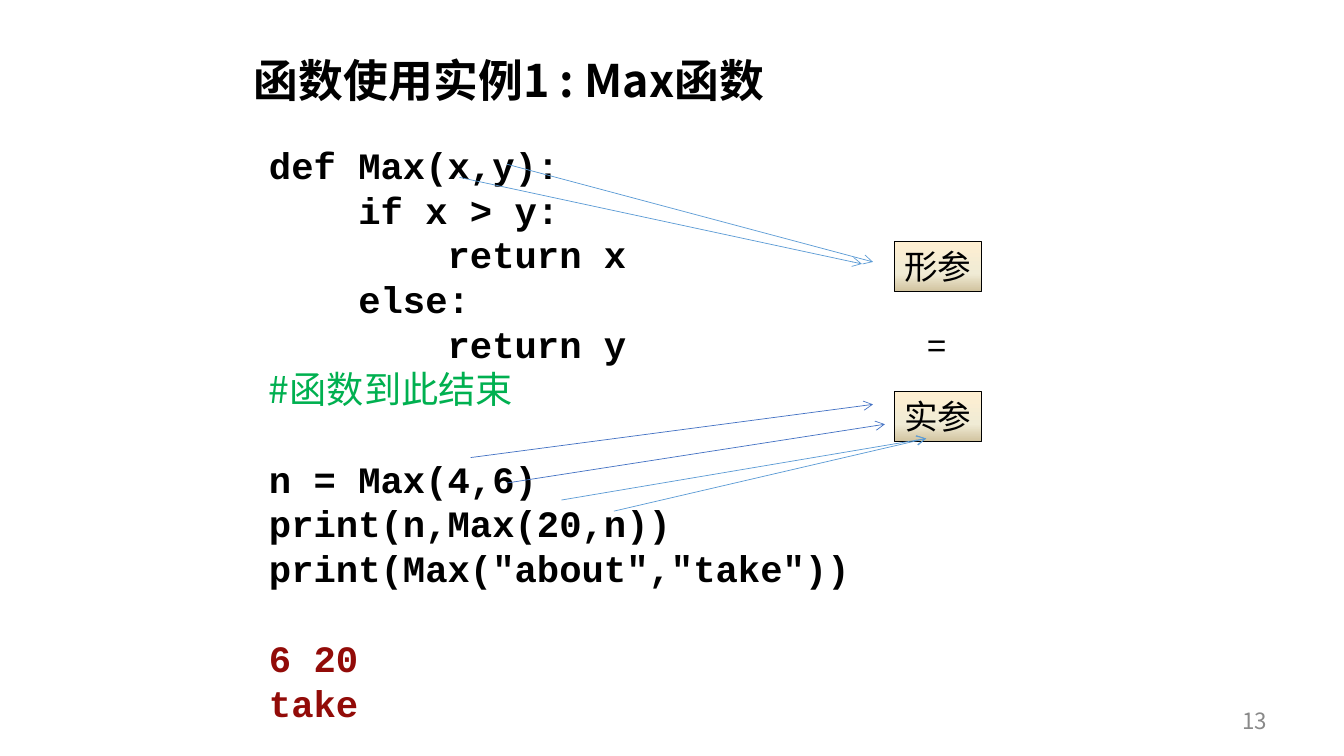
from copy import deepcopy

from pptx import Presentation
from pptx.dml.color import RGBColor
from pptx.enum.shapes import MSO_CONNECTOR, MSO_SHAPE
from pptx.enum.text import MSO_ANCHOR, PP_ALIGN
from pptx.oxml.ns import qn
from pptx.util import Cm, Pt

STRAIGHT, RECT = MSO_CONNECTOR.STRAIGHT, MSO_SHAPE.RECTANGLE
TOP, MIDDLE = MSO_ANCHOR.TOP, MSO_ANCHOR.MIDDLE
LEFT, CENTER, RIGHT = PP_ALIGN.LEFT, PP_ALIGN.CENTER, PP_ALIGN.RIGHT

SANS, MONO, LABEL = "Noto Sans CJK SC", "Courier New", "Arial"
BLACK, GREEN, RED, GREY = "000000", "00B050", "920B08", "898989"
LIGHT_BLUE, BLUE = "5B9BD5", "4472C4"
TAN = [(0, "FFEFD1"), (0.65, "F0EBD5"), (1, "D1C39F")]
CODE_SIZE, CODE_PITCH = 26.6, 32

# Each block: lines, font, colour, bold, space before
BLOCKS = [
    (["def Max(x,y):", "    if x > y:", "        return x", "    else:",
      "        return y"], MONO, BLACK, True, 0),
    (["#函数到此结束"], SANS, GREEN, False, 0),
    (["n = Max(4,6)", "print(n,Max(20,n))", 'print(Max("about","take"))'],
     MONO, BLACK, True, CODE_PITCH),
    (["6 20", "take"], MONO, RED, True, CODE_PITCH),
]
ARROWS = [
    (12.78, 4.14, 22, 6.6, LIGHT_BLUE),
    (11.58, 4.47, 21.72, 6.65, LIGHT_BLUE),
    (11.86, 11.53, 22, 10.19, BLUE),
    (12.78, 12.17, 22.3, 10.69, BLUE),
    (14.15, 12.6, 23.34, 11.05, LIGHT_BLUE),
    (15.47, 12.88, 23.34, 11.05, LIGHT_BLUE),
]


def rgb(value):
    return RGBColor.from_string(value)


class SlideBuilder:
    """Holds the current slide and adds styled elements to it."""

    def __init__(self, prs):
        self.slide = prs.slides.add_slide(prs.slide_layouts[5])

    def run(self, p, text, size, font, color=BLACK, bold=False):
        r = p.add_run()
        r.text = text
        r.font.size, r.font.name, r.font.bold = Pt(size), font, bold
        r.font.color.rgb = rgb(color)
        ea = r._r.get_or_add_rPr().makeelement(qn("a:ea"), {"typeface": SANS})
        r.font._element.append(ea)

    def frame(self, sp, anchor, wrap=True, margins=(0.25, 0.13)):
        tf = sp.text_frame
        tf.word_wrap, tf.vertical_anchor = wrap, anchor
        tf.margin_left = tf.margin_right = Cm(margins[0])
        tf.margin_top = tf.margin_bottom = Cm(margins[1])
        return tf

    def title(self, text, x, y, w, h):
        sp = self.slide.shapes.title
        sp.left, sp.top, sp.width, sp.height = Cm(x), Cm(y), Cm(w), Cm(h)
        p = self.frame(sp, MIDDLE, margins=(0.33, 0.18)).paragraphs[0]
        p.alignment, p.line_spacing = LEFT, 0.9
        self.run(p, text, 32, SANS, bold=True)

    def textbox(self, x, y, w, h, anchor=TOP, wrap=True):
        sp = self.slide.shapes.add_textbox(Cm(x), Cm(y), Cm(w), Cm(h))
        return self.frame(sp, anchor, wrap)

    def text(self, text, x, y, w, h, size, font, color=BLACK, align=CENTER):
        p = self.textbox(x, y, w, h, MIDDLE, False).paragraphs[0]
        p.alignment = align
        self.run(p, text, size, font, color)

    def code(self, blocks, x, y, w, h):
        tf = self.textbox(x, y, w, h)
        p = tf.paragraphs[0]
        for lines, font, color, bold, gap in blocks:
            for i, line in enumerate(lines):
                if p is None:
                    p = tf.add_paragraph()
                p.line_spacing = Pt(CODE_PITCH)
                if gap and i == 0:
                    p.space_before = Pt(gap)
                self.run(p, line, CODE_SIZE, font, color, bold)
                p = None

    def label(self, text, x, y, w, h):
        sp = self.slide.shapes.add_shape(RECT, Cm(x), Cm(y), Cm(w), Cm(h))
        sp.shadow.inherit = False
        sp.fill.gradient()
        sp.fill.gradient_angle = 270
        stops = sp._element.spPr.find(".//" + qn("a:gsLst"))
        stops.insert(1, deepcopy(stops[0]))
        for stop, (position, color) in zip(sp.fill.gradient_stops, TAN):
            stop.position = position
            stop.color.rgb = rgb(color)
        sp.line.color.rgb, sp.line.width = rgb(BLACK), Pt(0.25)
        p = self.frame(sp, MIDDLE, False).paragraphs[0]
        p.alignment = CENTER
        self.run(p, text, 24, LABEL)

    def arrow(self, x1, y1, x2, y2, color):
        cx = self.slide.shapes.add_connector(
            STRAIGHT, Cm(x1), Cm(y1), Cm(x2), Cm(y2))
        cx.line.color.rgb, cx.line.width = rgb(color), Pt(0.5)
        ln = cx.line._get_or_add_ln()
        ln.append(ln.makeelement(qn("a:tailEnd"), {"type": "arrow"}))
        spPr = cx._element.spPr
        spPr.append(spPr.makeelement(qn("a:effectLst"), {}))


def main():
    prs = Presentation()
    prs.slide_width, prs.slide_height = Cm(33.87), Cm(19.05)
    s = SlideBuilder(prs)
    s.title("函数使用实例1 : Max函数", 6.07, 1.09, 17.63, 2.01)
    s.text("13", 24.28, 17.65, 7.9, 1.02, 16, SANS, GREY, RIGHT)
    s.code(BLOCKS, 6.53, 3.45, 23.75, 15)
    for text, y in (("形参", 6.07), ("实参", 9.86)):
        s.label(text, 22.53, y, 2.21, 1.27)
    for arrow in ARROWS:
        s.arrow(*arrow)
    s.text("=", 23.11, 8.03, 0.99, 1.27, 24, LABEL)
    prs.save("out.pptx")


if __name__ == "__main__":
    main()
